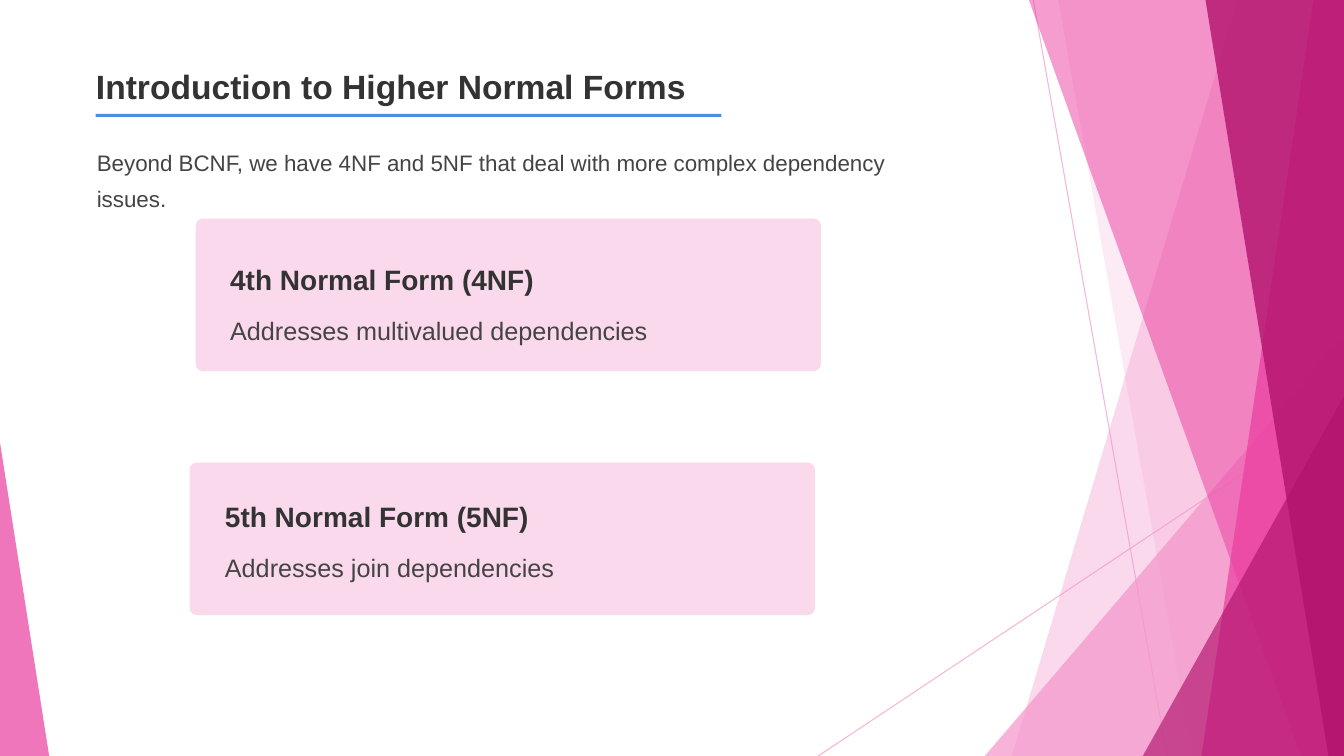
from lxml.etree import SubElement
from pptx import Presentation
from pptx.dml.color import RGBColor
from pptx.enum.shapes import MSO_CONNECTOR as Connector, MSO_SHAPE as Shape
from pptx.enum.text import MSO_ANCHOR as Anchor
from pptx.oxml.ns import qn
from pptx.util import Cm, Pt

WIDTH, HEIGHT = 33.87, 19.05
PALE, PINK, DARK = "F496CB", "EB3D9F", "B2136D"
CARD_FILL, ACCENT = "FBD9EC", "4A8FE2"
HEADING, BODY = "333333", "444444"

title = "Introduction to Higher Normal Forms"
intro = "Beyond BCNF, we have 4NF and 5NF that deal with more complex dependency issues."
cards = [
    {"heading": "4th Normal Form (4NF)", "detail": "Addresses multivalued dependencies",
     "corner": (4.93, 5.51), "text_at": (5.77, 6.55)},
    {"heading": "5th Normal Form (5NF)", "detail": "Addresses join dependencies",
     "corner": (4.78, 11.66), "text_at": (5.64, 12.52)},
]
CARD_SIZE = (15.76, 3.84)
rays = [((26.04, 0), (29.41, HEIGHT)), ((WIDTH, 10.24), (20.62, HEIGHT))]
facets = [
    {"top_x": 31.19, "bottom_x": 25.5, "color": PALE, "alpha": 36},
    {"top_x": 26.67, "bottom_x": 30.05, "color": PALE, "alpha": 20},
    {"wedge": (24.82, 8.46, 9.05), "apex": 1, "color": PALE, "alpha": 72},
    {"top_x": 25.93, "bottom_x": 32.79, "color": PINK, "alpha": 50},
    {"top_x": 33.1, "bottom_x": 30.28, "color": PINK, "alpha": 70},
    {"top_x": 30.38, "bottom_x": 33.48, "color": DARK, "alpha": 80},
    {"wedge": (28.8, 9.98, 5.07), "apex": 1, "color": DARK, "alpha": 66},
    {"wedge": (0, 11.15, 1.24), "apex": 0, "color": PINK, "alpha": 70},
]

deck = Presentation()
deck.slide_width, deck.slide_height = Cm(WIDTH), Cm(HEIGHT)
slide = deck.slides.add_slide(deck.slide_layouts[6])


def paint(fill, color, alpha=100):
    fill.solid()
    fill.fore_color.rgb = RGBColor.from_string(color)
    if alpha < 100:
        for tint in fill._xPr.iter(qn("a:srgbClr")):
            SubElement(tint, qn("a:alpha"), val=str(alpha * 1000))


def finish(shape, color, alpha=100):
    shape.shadow.inherit = False
    shape.line.fill.background()
    paint(shape.fill, color, alpha)


def add_block(kind, left, top, width, height, color, alpha=100, adjust=None):
    block = slide.shapes.add_shape(kind, Cm(left), Cm(top), Cm(width), Cm(height))
    if adjust is not None:
        block.adjustments[0] = adjust
    finish(block, color, alpha)


def add_facet(top_x, bottom_x, color, alpha):
    outline = slide.shapes.build_freeform(Cm(top_x), 0)
    corners = [(WIDTH, 0), (WIDTH, HEIGHT), (bottom_x, HEIGHT)]
    outline.add_line_segments([(Cm(x), Cm(y)) for x, y in corners])
    finish(outline.convert_to_shape(), color, alpha)


def add_text(text, frame=None, left=0, top=0, width=0, height=0, size=18,
             color=BODY, bold=False, inset=0.06, before=0, spacing=1.0):
    if frame is None:
        box = slide.shapes.add_textbox(Cm(left), Cm(top), Cm(width), Cm(height))
        frame = box.text_frame
        frame.word_wrap = True
        frame.vertical_anchor = Anchor.TOP
        frame.margin_left, frame.margin_top = Cm(0.03), Cm(inset)
        frame.margin_right = frame.margin_bottom = 0
        paragraph = frame.paragraphs[0]
    else:
        paragraph = frame.add_paragraph()
        paragraph.space_before = Pt(before)
    paragraph.line_spacing = spacing
    run = paragraph.add_run()
    run.text = text
    run.font.name, run.font.size, run.font.bold = "Arial", Pt(size), bold
    run.font.color.rgb = RGBColor.from_string(color)
    return frame


for start, end in rays:
    ray = slide.shapes.add_connector(Connector.STRAIGHT, *map(Cm, start + end))
    ray.line.width = Pt(0.75)
    paint(ray.line.fill, PALE, 70)
    SubElement(ray._element.spPr, qn("a:effectLst"))

for facet in facets:
    if "wedge" in facet:
        left, top, width = facet["wedge"]
        add_block(Shape.ISOSCELES_TRIANGLE, left, top, width, HEIGHT - top,
                  facet["color"], facet["alpha"], facet["apex"])
    else:
        add_facet(**facet)

add_block(Shape.RECTANGLE, 2.41, 2.87, 15.77, 0.08, ACCENT)
add_text(title, left=2.39, top=1.55, width=15.6, height=1.09, size=24,
         color=HEADING, bold=True, inset=0.1)
add_text(intro, left=2.41, top=3.48, width=20.88, height=1.78, size=16, spacing=1.33)

for card in cards:
    add_block(Shape.ROUNDED_RECTANGLE, *card["corner"], *CARD_SIZE, CARD_FILL, adjust=0.046)
    left, top = card["text_at"]
    words = add_text(card["heading"], left=left, top=top, width=12.45, height=2.16,
                     size=20, color=HEADING, bold=True)
    add_text(card["detail"], frame=words, before=13.9)

deck.save("out.pptx")
